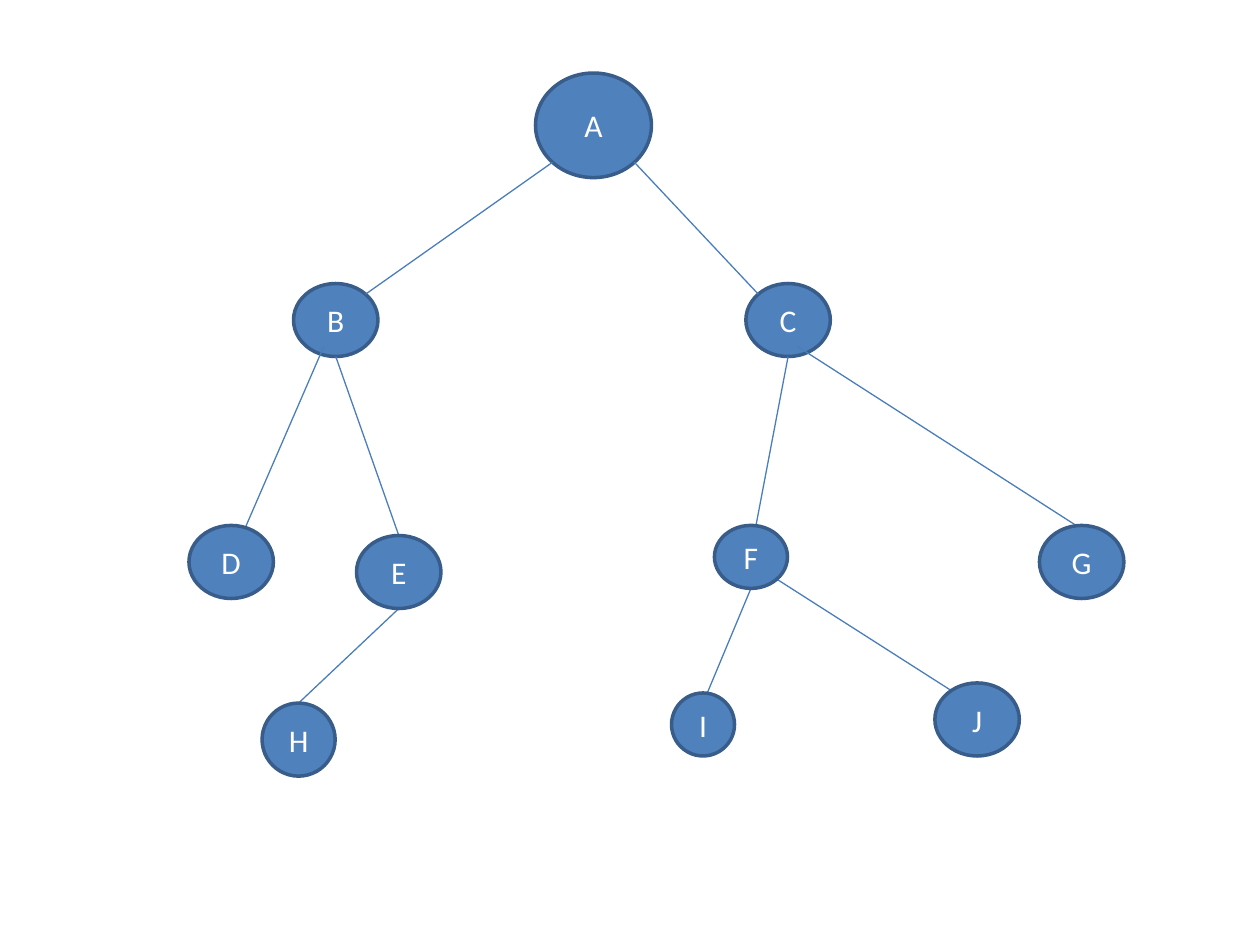
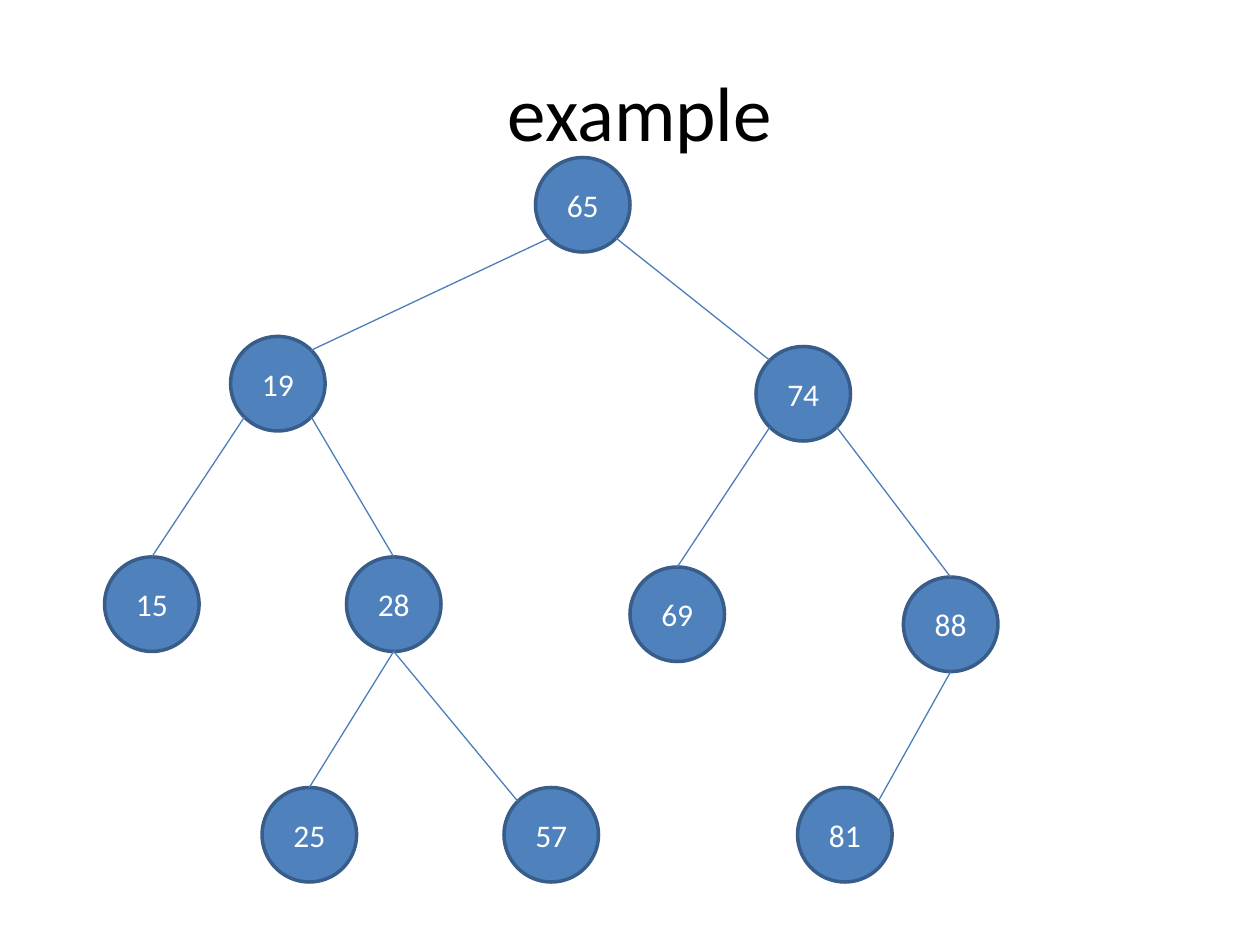
from lxml.etree import SubElement
from pptx import Presentation
from pptx.dml.color import RGBColor
from pptx.enum.shapes import MSO_CONNECTOR as Connector, MSO_SHAPE as Shape
from pptx.enum.text import MSO_ANCHOR as Anchor, PP_ALIGN as Align
from pptx.oxml.ns import qn
from pptx.util import Inches, Pt

COLORS = {"node": "4F81BD", "outline": "385D8A", "edge": "4A7EBB",
          "label": "FFFFFF", "title": "000000"}
FONT = "Calibri"
FRAME = {"word_wrap": True, "vertical_anchor": Anchor.MIDDLE,
         "margin_left": Inches(0.1), "margin_right": Inches(0.1),
         "margin_top": Inches(0.05), "margin_bottom": Inches(0.05)}
DIAGONAL = 0.5 ** 0.5
SITES = {"top": (0, -1), "bottom": (0, 1),
         "top left": (-DIAGONAL, -DIAGONAL), "top right": (DIAGONAL, -DIAGONAL),
         "bottom left": (-DIAGONAL, DIAGONAL), "bottom right": (DIAGONAL, DIAGONAL)}

WIDE = (0.67, 0.58)
ROUND = (0.75, 0.75)

LETTER_NODES = {
    "A": (4.25, 0.58, 0.92, 0.83), "B": (2.33, 2.25, *WIDE), "C": (5.92, 2.25, *WIDE),
    "D": (1.5, 4.17, *WIDE), "E": (2.83, 4.25, *WIDE), "G": (8.25, 4.17, *WIDE),
    "F": (5.67, 4.17, 0.58, 0.5), "H": (2.08, 5.58, 0.58, 0.58),
    "I": (5.33, 5.5, 0.5, 0.5), "J": (7.42, 5.42, *WIDE),
}
LETTER_EDGES = [
    ("A", "bottom left", "B", "top right"), ("B", (2.57, 2.75), "D", (1.92, 4.25)),
    ("A", "bottom right", "C", "top left"), ("C", (6.33, 2.75), "G", (8.54, 4.17)),
    ("B", "bottom", "E", "top"), ("C", "bottom", "F", (6, 4.17)),
    ("E", "bottom", "H", "top"), ("F", "bottom", "I", (5.58, 5.58)),
    ("F", "bottom right", "J", (7.58, 5.5)),
]

NUMBER_NODES = {label: (left, top, *ROUND) for label, left, top in [
    ("65", 4.25, 1.25), ("19", 1.83, 2.67), ("74", 6, 2.75), ("15", 0.83, 4.42),
    ("28", 2.75, 4.42), ("69", 5, 4.5), ("88", 7.17, 4.58), ("25", 2.08, 6.25),
    ("57", 4, 6.25), ("81", 6.33, 6.25)]}
NUMBER_EDGES = [
    ("65", "bottom left", "19", "top right"), ("19", "bottom left", "15", "top"),
    ("65", "bottom right", "74", "top left"), ("19", "bottom right", "28", "top"),
    ("74", "bottom right", "88", "top"), ("74", "bottom left", "69", "top"),
    ("28", "bottom", "25", "top"), ("28", "bottom", "57", "top left"),
    ("88", "bottom", "81", "top right"),
]


def color(name):
    return RGBColor.from_string(COLORS[name])


def apply_format(target, values):
    for name, value in values.items():
        setattr(target, name, value)


def write_text(shape, text, size, color_name):
    apply_format(shape.text_frame, FRAME)
    para = shape.text_frame.paragraphs[0]
    para.alignment = Align.CENTER
    span = para.add_run()
    span.text = text
    apply_format(span.font, {"name": FONT, "size": Pt(size)})
    span.font.color.rgb = color(color_name)


def add_title(page, text):
    box = page.shapes.add_textbox(*map(Inches, (0.58, 0.25, 9, 1.25)))
    write_text(box, text, 44, "title")


def add_node(page, label, bounds):
    node = page.shapes.add_shape(Shape.OVAL, *map(Inches, bounds))
    node.shadow.inherit = False
    node.fill.solid()
    node.fill.fore_color.rgb = color("node")
    node.line.color.rgb = color("outline")
    node.line.width = Pt(2)
    write_text(node, label, 18, "label")


def locate(bounds, site):
    if site not in SITES:
        return site
    left, top, width, height = bounds
    across, down = SITES[site]
    return left + width / 2 * (1 + across), top + height / 2 * (1 + down)


def add_edge(page, start, end):
    edge = page.shapes.add_connector(Connector.STRAIGHT, *map(Inches, (*start, *end)))
    edge.line.color.rgb = color("edge")
    edge.line.width = Pt(0.75)
    SubElement(edge._element.spPr, qn("a:effectLst"))


def add_tree(page, nodes, edges, behind_edges):
    labels = list(nodes)
    for label in labels[:behind_edges]:
        add_node(page, label, nodes[label])
    for parent, parent_site, child, child_site in edges:
        add_edge(page, locate(nodes[parent], parent_site), locate(nodes[child], child_site))
    for label in labels[behind_edges:]:
        add_node(page, label, nodes[label])


def main():
    deck = Presentation()
    apply_format(deck, {"slide_width": Inches(10), "slide_height": Inches(7.5)})
    blank = deck.slide_layouts[6]
    add_tree(deck.slides.add_slide(blank), LETTER_NODES, LETTER_EDGES, 3)
    page = deck.slides.add_slide(blank)
    add_title(page, "example")
    add_tree(page, NUMBER_NODES, NUMBER_EDGES, len(NUMBER_NODES))
    deck.save("out.pptx")


if __name__ == "__main__":
    main()
